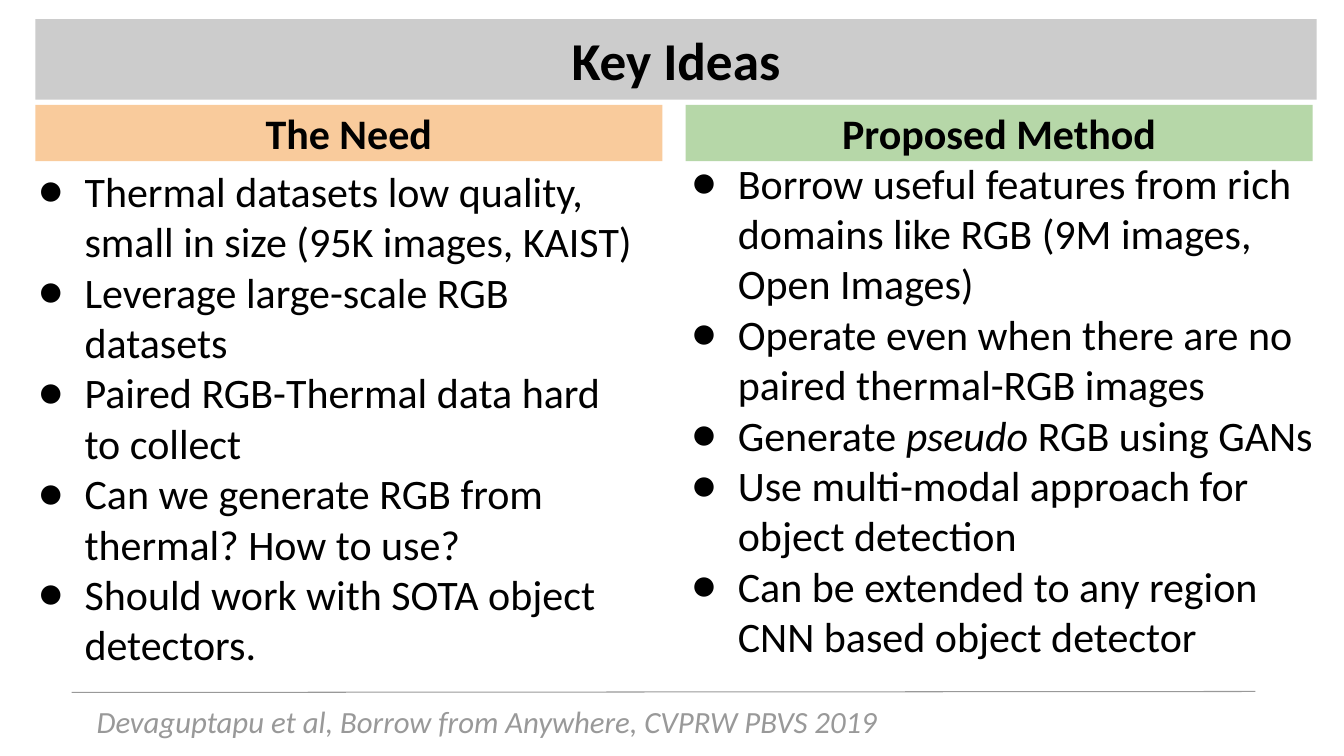
from lxml.etree import SubElement
from pptx import Presentation
from pptx.dml.color import RGBColor
from pptx.enum.shapes import MSO_CONNECTOR as CONNECTOR, MSO_SHAPE as SHAPE
from pptx.enum.text import MSO_ANCHOR as ANCHOR, PP_ALIGN as ALIGN
from pptx.oxml.ns import qn
from pptx.util import Inches, Pt

FONT = "Calibri"
BLACK, GREY = "000000", "999999"

NEED = [
    ["Thermal datasets low quality, small in size (95K images, KAIST)"],
    ["Leverage large-scale RGB datasets"],
    ["Paired RGB-Thermal data hard to collect"],
    ["Can we generate RGB from thermal? How to use?"],
    ["Should work with SOTA object detectors."],
]
METHOD = [
    ["Borrow useful features from rich domains like RGB (9M images, Open Images)"],
    ["Operate even when there are no paired thermal-RGB images"],
    ["Generate ", ("pseudo ", True), "RGB using GANs"],
    ["Use multi-modal approach for object detection"],
    ["Can be extended to any region CNN based object detector"],
]


def color(value):
    return RGBColor.from_string(value)


def add_span(para, text, size=30, fill=BLACK, bold=False, italic=False):
    span = para.add_run()
    span.text = text
    font = span.font
    font.name, font.size, font.bold, font.italic = FONT, Pt(size), bold, italic
    font.color.rgb = color(fill)


def add_text_box(page, box):
    frame = page.shapes.add_textbox(*map(Inches, box)).text_frame
    frame.word_wrap = True
    return frame


def add_banner(page, box, text, fill, size=30):
    banner = page.shapes.add_shape(SHAPE.RECTANGLE, *map(Inches, box))
    banner.shadow.inherit = False
    banner.fill.solid()
    banner.fill.fore_color.rgb = color(fill)
    banner.line.fill.background()
    frame = banner.text_frame
    frame.word_wrap = True
    frame.vertical_anchor = ANCHOR.MIDDLE
    para = frame.paragraphs[0]
    para.alignment = ALIGN.CENTER
    add_span(para, text, size=size, bold=True)


def add_bullet(para):
    properties = para._p.get_or_add_pPr()
    properties.set("marL", str(Inches(0.5)))
    properties.set("indent", str(Inches(-0.46)))
    bullet_color = SubElement(properties, qn("a:buClr"))
    SubElement(bullet_color, qn("a:srgbClr"), val=BLACK)
    SubElement(properties, qn("a:buFont"), typeface=FONT)
    SubElement(properties, qn("a:buChar"), char="●")


def add_bullet_list(page, box, items):
    frame = add_text_box(page, box)
    for index, item in enumerate(items):
        para = frame.add_paragraph() if index else frame.paragraphs[0]
        para.line_spacing = Pt(36)
        add_bullet(para)
        for part in item:
            text, italic = (part, False) if isinstance(part, str) else part
            add_span(para, text, italic=italic)


def add_column(page, box, title, fill, items, list_box):
    left, top, width, height = box
    shift, drop, list_width, list_height = list_box
    add_bullet_list(page, (left + shift, top + drop, list_width, list_height), items)
    add_banner(page, box, title, fill)


def add_footer(page, box, text):
    left, top, width, height = box
    rule = page.shapes.add_connector(
        CONNECTOR.STRAIGHT,
        Inches(12.45), Inches(top - 0.01), Inches(left - 0.15), Inches(top))
    rule.line.color.rgb = color(GREY)
    rule.line.width = Pt(0.75)
    SubElement(rule._element.spPr, qn("a:effectLst"))
    frame = add_text_box(page, box)
    frame.margin_top = frame.margin_bottom = Inches(0.1)
    add_span(frame.paragraphs[0], text, size=22, fill=GREY, italic=True)


def build_key_ideas(page):
    add_banner(page, (0.35, 0.19, 12.71, 0.8), "Key Ideas", "CCCCCC", size=38)
    add_column(page, (6.8, 1.04, 6.22, 0.56), "Proposed Method", "B6D7A8",
               METHOD, (-0.08, 0.47, 6.53, 5.03))
    add_column(page, (0.35, 1.04, 6.22, 0.56), "The Need", "F9CB9C",
               NEED, (-0.11, 0.55, 6.22, 5.18))
    add_footer(page, (0.86, 6.87, 10.71, 0.56),
               "Devaguptapu et al, Borrow from Anywhere, CVPRW PBVS 2019")


def main():
    deck = Presentation()
    deck.slide_width, deck.slide_height = Inches(13.33), Inches(7.5)
    build_key_ideas(deck.slides.add_slide(deck.slide_layouts[6]))
    deck.save("out.pptx")


if __name__ == "__main__":
    main()
